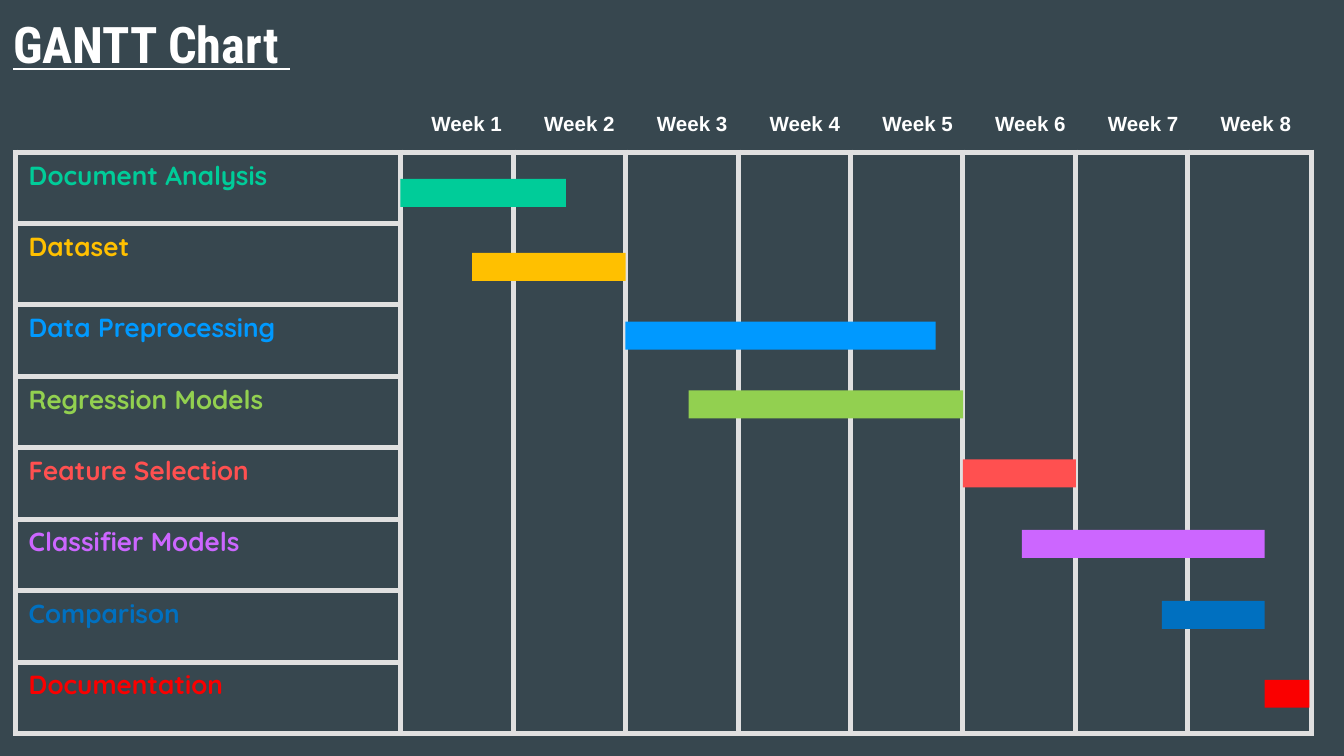
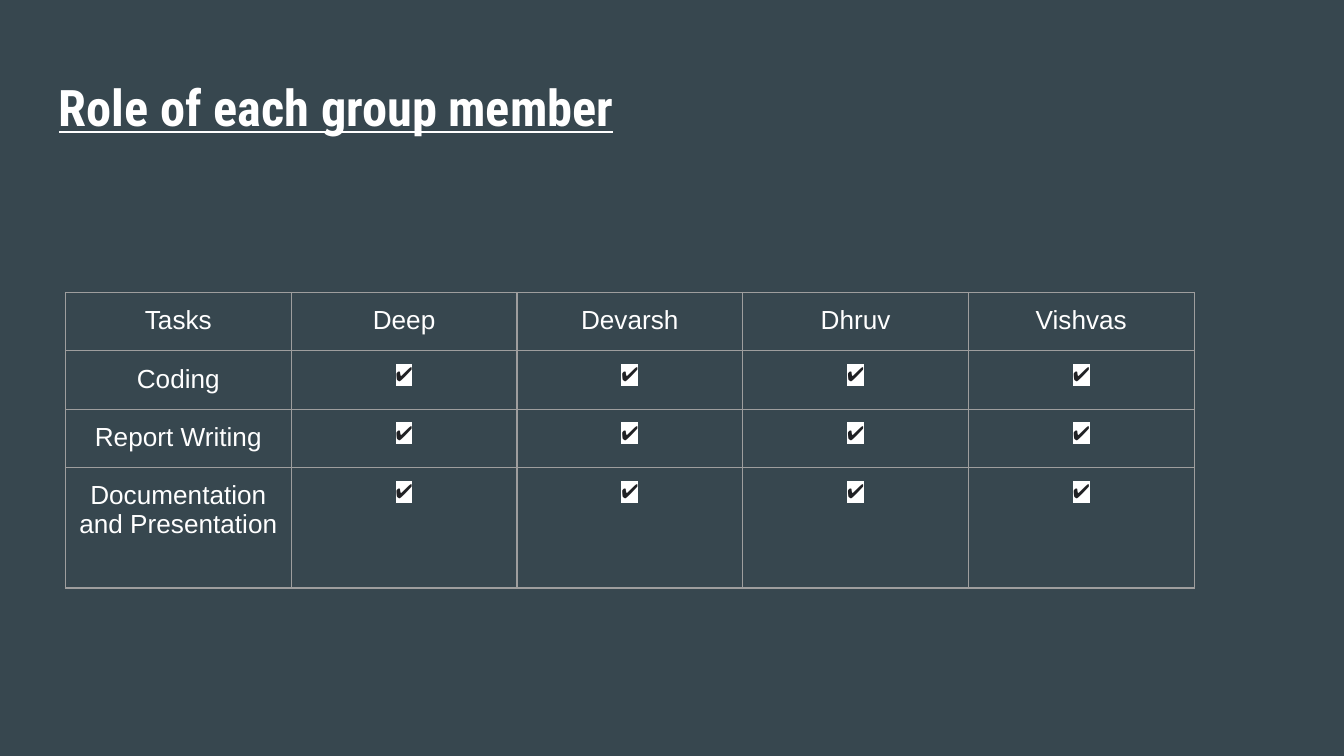
from lxml.etree import SubElement
from pptx import Presentation
from pptx.dml.color import RGBColor
from pptx.enum.shapes import MSO_SHAPE
from pptx.enum.text import PP_ALIGN
from pptx.oxml import parse_xml
from pptx.oxml.ns import nsdecls, qn
from pptx.util import Pt

COLORS = {
    "background": "37474F", "white": "FFFFFF", "ink": "202124",
    "gantt_grid": "E0E0E0", "roles_grid": "9E9E9E",
    "green": "00CC99", "amber": "FFC000", "sky": "0099FF", "lime": "92D050",
    "coral": "FF5050", "violet": "CC66FF", "blue": "0070C0", "red": "FA0000",
}
TITLE = {"size": 27, "font": "Roboto Condensed", "bold": True, "underline": True}
WEEK = {"size": 11, "bold": True, "align": PP_ALIGN.CENTER}
ROLE = {"size": 14, "align": PP_ALIGN.CENTER}
CHECK = {"size": 10.5, "bold": True, "color": "ink", "highlight": "white",
         "align": PP_ALIGN.CENTER}


def write(frame, text, size=14, color="white", font="Arial", bold=False,
          underline=False, align=PP_ALIGN.LEFT, highlight=None):
    """Put one formatted run into the first paragraph of a text frame."""
    frame.word_wrap = True
    para = frame.paragraphs[0]
    para.alignment = align
    span = para.add_run()
    span.text = text
    span.font.size = Pt(size)
    span.font.bold = bold
    span.font.underline = underline
    span.font.color.rgb = RGBColor.from_string(COLORS[color])
    span.font.name = font
    if highlight:
        properties = span.font._element
        mark = SubElement(properties, qn("a:highlight"))
        SubElement(mark, qn("a:srgbClr"), val=COLORS[highlight])
        properties.find(qn("a:latin")).addprevious(mark)


def add_grid(page, left, top, widths, heights, line_color, line_width, fill=None):
    """Add an unstyled table whose cells all have the same border."""
    table = page.shapes.add_table(len(heights), len(widths), Pt(left), Pt(top),
                                  Pt(sum(widths)), Pt(sum(heights))).table
    table.first_row = table.horz_banding = False
    for column, width in zip(table.columns, widths):
        column.width = Pt(width)
    for row, height in zip(table.rows, heights):
        row.height = Pt(height)
    for cell in table.iter_cells():
        if fill:
            cell.fill.solid()
            cell.fill.fore_color.rgb = RGBColor.from_string(COLORS[fill])
        else:
            cell.fill.background()
        for index, side in enumerate(("lnL", "lnR", "lnT", "lnB")):
            border = parse_xml(
                f'<a:{side} {nsdecls("a")} w="{Pt(line_width)}"><a:solidFill>'
                f'<a:srgbClr val="{COLORS[line_color]}"/></a:solidFill></a:{side}>')
            cell._tc.get_or_add_tcPr().insert(index, border)
    return table


deck = Presentation()
deck.slide_width, deck.slide_height = Pt(720), Pt(405)

# Pages with their titles
pages = []
for title, left, top in (("GANTT Chart ", 0, 0),
                         ("Role of each group member", 24.5, 33.8)):
    page = deck.slides.add_slide(deck.slide_layouts[6])
    page.background.fill.solid()
    page.background.fill.fore_color.rgb = RGBColor.from_string(COLORS["background"])
    box = page.shapes.add_textbox(Pt(left), Pt(top), Pt(671), Pt(45.4))
    box.text_frame.margin_top = box.text_frame.margin_bottom = Pt(7.2)
    write(box.text_frame, title, **TITLE)
    pages.append(page)
gantt_page, roles_page = pages

# Gantt chart: task, colour, then left, top and width of its bar
tasks = [
    ("Document Analysis", "green", 214.5, 95.9, 88.7),
    ("Dataset", "amber", 253, 135.5, 82.2),
    ("Data Preprocessing", "sky", 335, 172.3, 166.2),
    ("Regression Models", "lime", 368.9, 209.2, 147.1),
    ("Feature Selection", "coral", 515.9, 246.1, 60.5),
    ("Classifier Models", "violet", 547.4, 283.9, 130.1),
    ("Comparison", "blue", 622.5, 321.9, 55),
    ("Documentation", "red", 677.5, 364.2, 24),
]
grid = add_grid(gantt_page, 8.2, 81.5, [206.5] + [60.25] * 7 + [66.4],
                [38.3, 43.4] + [38.3] * 6, "gantt_grid", 3, fill="background")
for week in range(1, 9):
    grid.cell(0, week).merge(grid.cell(len(tasks) - 1, week))
    box = gantt_page.shapes.add_textbox(Pt(209 + 60.4 * (week - 1)), Pt(52.6),
                                        Pt(82), Pt(28))
    box.text_frame.margin_top = box.text_frame.margin_bottom = Pt(7.2)
    write(box.text_frame, f"Week {week}", **WEEK)

for row, (task, color, left, top, width) in enumerate(tasks):
    write(grid.cell(row, 0).text_frame, task, color=color, font="Quicksand", bold=True)
    bar = gantt_page.shapes.add_shape(MSO_SHAPE.RECTANGLE, Pt(left), Pt(top),
                                      Pt(width), Pt(15))
    bar.shadow.inherit = False
    bar.fill.solid()
    bar.fill.fore_color.rgb = RGBColor.from_string(COLORS[color])
    bar.line.fill.background()

# Roles table
members = ["Deep", "Devarsh", "Dhruv", "Vishvas"]
duties = ["Coding", "Report Writing", "Documentation and Presentation"]
rows = [["Tasks"] + members] + [[duty] + ["✔"] * len(members) for duty in duties]
roles = add_grid(roles_page, 35.1, 156.7, [120.95] * 5, [31.1] * 3 + [64.6],
                 "roles_grid", 0.75)
for cell, text in zip(roles.iter_cells(), sum(rows, [])):
    cell.margin_top = cell.margin_bottom = Pt(7.2)
    write(cell.text_frame, text, **(CHECK if text == "✔" else ROLE))

deck.save("out.pptx")
